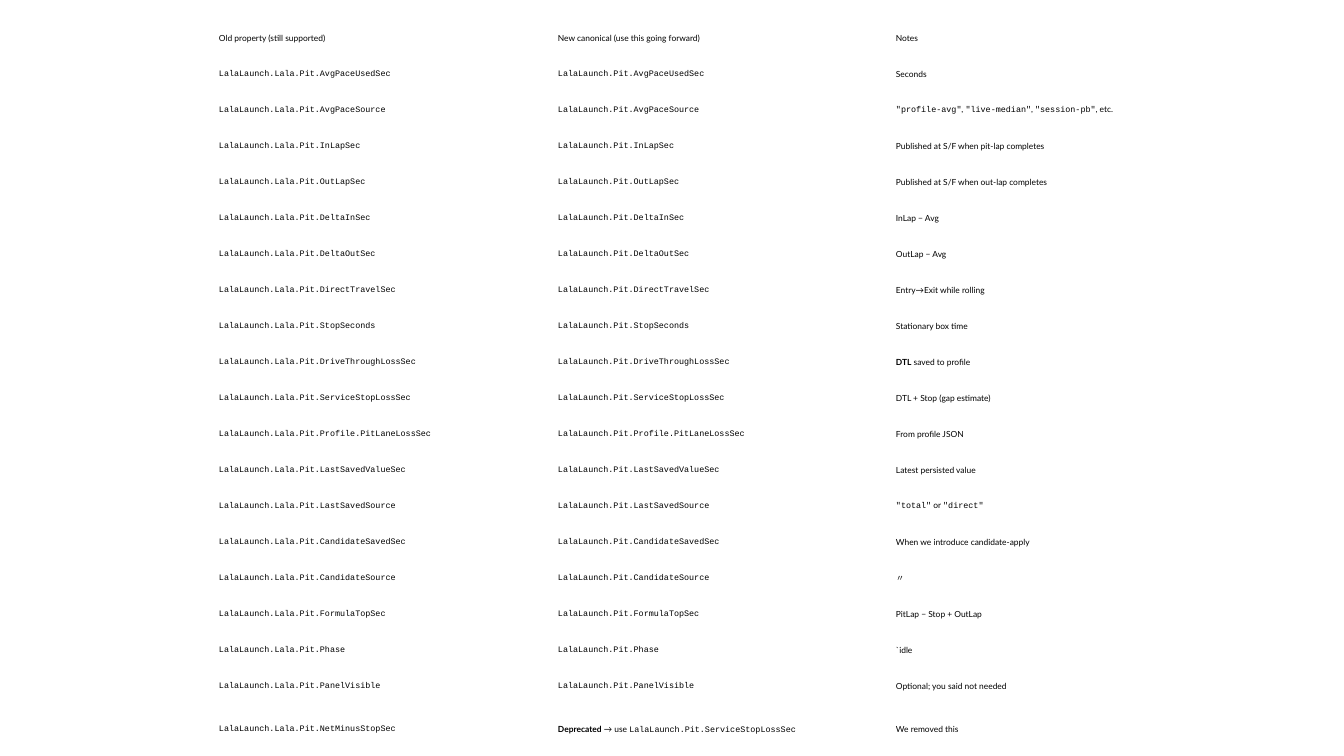
from dataclasses import dataclass
from typing import NamedTuple

from pptx import Presentation
from pptx.dml.color import RGBColor
from pptx.enum.text import MSO_ANCHOR
from pptx.util import Emu, Pt

MIDDLE = MSO_ANCHOR.MIDDLE
SCALE = 914400 / 100.8
SANS, MONO = "Lato", "Courier New"
INK = "000000"
SIZE = 6
LEFT, TOP = 216, 20
WIDTHS = [339, 338, 338]
ROW_H, LAST_H = 36, 51
PAD_X, PAD_Y = 3, 2


class Seg(NamedTuple):
    text: str
    font: str = SANS
    bold: bool = False


@dataclass
class Entry:
    name: str
    note: list[Seg]
    use: list[Seg] | None = None

    def cells(self) -> list[list[Seg]]:
        old = [Seg(f"LalaLaunch.Lala.Pit.{self.name}", MONO)]
        new = self.use or [Seg(f"LalaLaunch.Pit.{self.name}", MONO)]
        return [old, new, self.note]


HEADS = ["Old property (still supported)",
         "New canonical (use this going forward)", "Notes"]
ENTRIES = [
    Entry("AvgPaceUsedSec", [Seg("Seconds")]),
    Entry("AvgPaceSource", [
        Seg('"profile-avg"', MONO), Seg(", "), Seg('"live-median"', MONO),
        Seg(", "), Seg('"session-pb"', MONO), Seg(", etc.")]),
    Entry("InLapSec", [Seg("Published at S/F when pit-lap completes")]),
    Entry("OutLapSec", [Seg("Published at S/F when out-lap completes")]),
    Entry("DeltaInSec", [Seg("InLap − Avg")]),
    Entry("DeltaOutSec", [Seg("OutLap − Avg")]),
    Entry("DirectTravelSec", [Seg("Entry→Exit while rolling")]),
    Entry("StopSeconds", [Seg("Stationary box time")]),
    Entry("DriveThroughLossSec",
          [Seg("DTL", bold=True), Seg(" saved to profile")]),
    Entry("ServiceStopLossSec", [Seg("DTL + Stop (gap estimate)")]),
    Entry("Profile.PitLaneLossSec", [Seg("From profile JSON")]),
    Entry("LastSavedValueSec", [Seg("Latest persisted value")]),
    Entry("LastSavedSource",
          [Seg('"total"', MONO), Seg(" or "), Seg('"direct"', MONO)]),
    Entry("CandidateSavedSec", [Seg("When we introduce candidate-apply")]),
    Entry("CandidateSource", [Seg("〃")]),
    Entry("FormulaTopSec", [Seg("PitLap − Stop + OutLap")]),
    Entry("Phase", [Seg("`idle")]),
    Entry("PanelVisible", [Seg("Optional; you said not needed")]),
    Entry("NetMinusStopSec", [Seg("We removed this")], use=[
        Seg("Deprecated", bold=True), Seg(" → use "),
        Seg("LalaLaunch.Pit.ServiceStopLossSec", MONO)]),
]


def px(n: int) -> Emu:
    return Emu(round(n * SCALE))


def color(code: str) -> RGBColor:
    return RGBColor.from_string(code)


def fill_cell(cell, segs: list[Seg]) -> None:
    cell.fill.background()
    cell.vertical_anchor = MIDDLE
    cell.margin_left = cell.margin_right = px(PAD_X)
    cell.margin_top = cell.margin_bottom = px(PAD_Y)
    para = cell.text_frame.paragraphs[0]
    para.text = segs[0].text
    for seg in segs[1:]:
        para.add_run().text = seg.text
    for run, seg in zip(para.runs, segs):
        run.font.name = seg.font
        run.font.size = Pt(SIZE)
        run.font.bold = seg.bold
        run.font.color.rgb = color(INK)


def draw_table(slide, rows: list[list[list[Seg]]]) -> None:
    heights = [ROW_H] * (len(rows) - 1) + [LAST_H]
    table = slide.shapes.add_table(
        len(rows), len(WIDTHS), px(LEFT), px(TOP),
        px(sum(WIDTHS)), px(sum(heights))).table
    table.first_row = table.horz_banding = False
    for col, width in zip(table.columns, WIDTHS):
        col.width = px(width)
    for line, height, row in zip(table.rows, heights, rows):
        line.height = px(height)
        for cell, segs in zip(line.cells, row):
            fill_cell(cell, segs)


def main() -> None:
    deck = Presentation()
    deck.slide_width, deck.slide_height = px(1344), px(756)
    # Blank layout: the slide holds only the table
    slide = deck.slides.add_slide(deck.slide_layouts[6])
    # Header row, then one row per property
    heads = [[Seg(text)] for text in HEADS]
    draw_table(slide, [heads] + [entry.cells() for entry in ENTRIES])
    deck.save("out.pptx")


if __name__ == "__main__":
    main()
